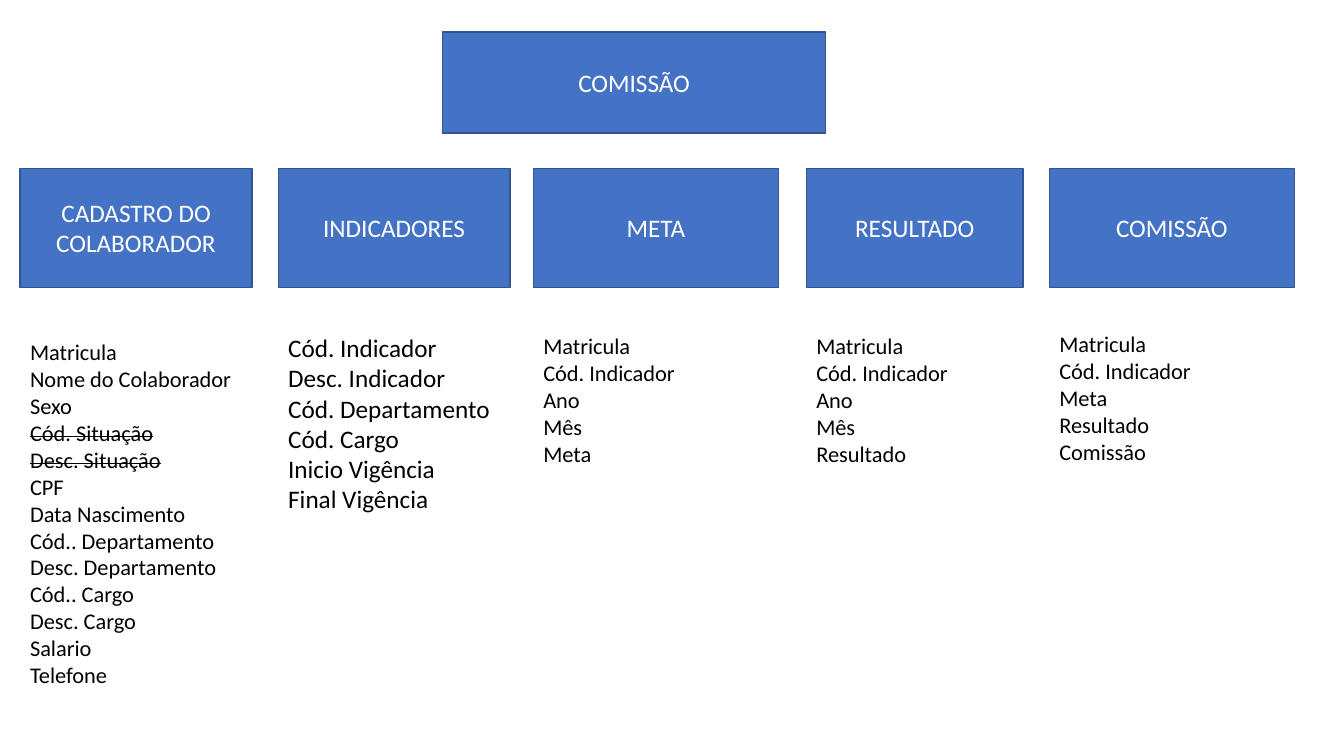
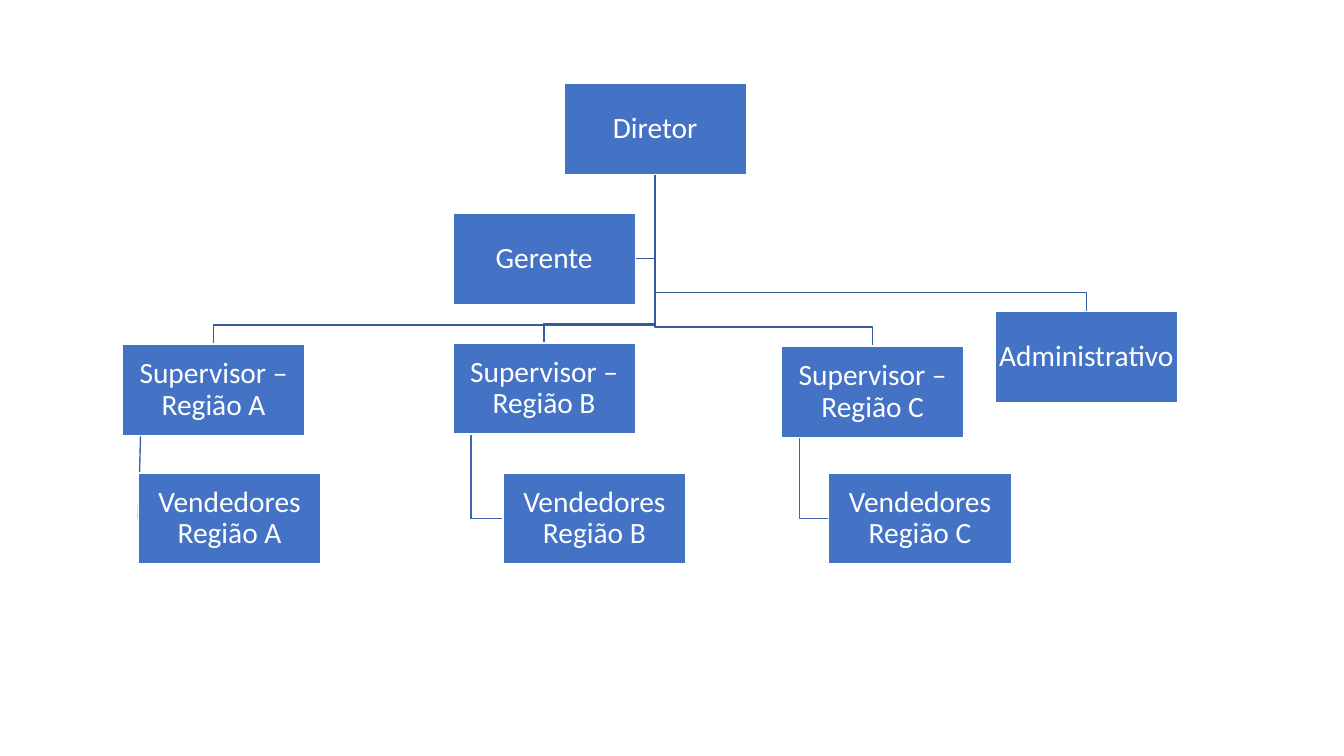
from pptx import Presentation
from pptx.dml.color import RGBColor
from pptx.enum.shapes import MSO_CONNECTOR, MSO_SHAPE
from pptx.enum.text import MSO_ANCHOR, PP_ALIGN
from pptx.oxml.ns import qn
from pptx.util import Pt
from lxml.etree import SubElement

FONT = "Calibri"
BLUE = RGBColor(0x44, 0x72, 0xC4)
BOX_BORDER = RGBColor(0x32, 0x54, 0x91)
UPPER_LINE = RGBColor(0x36, 0x5B, 0x9D)
LOWER_LINE = RGBColor(0x3E, 0x67, 0xB2)
WHITE = RGBColor(0xFF, 0xFF, 0xFF)
BLACK = RGBColor(0x00, 0x00, 0x00)

HEADER_TOP, HEADER_HEIGHT = 120.2, 85
STRUCK_FIELDS = {"Cód. Situação", "Desc. Situação"}
COLUMNS = [
    ("CADASTRO DO COLABORADOR", 14.4, 165.6, 238.3, 16,
     ["Matricula", "Nome do Colaborador", "Sexo", "Cód. Situação", "Desc. Situação",
      "CPF", "Data Nascimento", "Cód.. Departamento", "Desc. Departamento",
      "Cód.. Cargo", "Desc. Cargo", "Salario", "Telefone"]),
    ("INDICADORES", 198.8, 165.6, 234, 18,
     ["Cód. Indicador", "Desc. Indicador", "Cód. Departamento", "Cód. Cargo",
      "Inicio Vigência", "Final Vigência"]),
    ("META", 381, 175, 234, 16,
     ["Matricula", "Cód. Indicador", "Ano", "Mês", "Meta"]),
    ("RESULTADO", 576, 154.8, 234, 16,
     ["Matricula", "Cód. Indicador", "Ano", "Mês", "Resultado"]),
    ("COMISSÃO", 749.6, 175, 232.6, 16,
     ["Matricula", "Cód. Indicador", "Meta", "Resultado", "Comissão"]),
]

NODE_WIDTH, NODE_HEIGHT = 130.4, 65.2
NODE_INSET = 0.72
BRANCH_DROP = 13.7
SELLER_INDENT = 13
SELLER_TOP = 337.8
DIRECTOR = (402.8, 59.6)
MANAGER = (323.5, 152.2)
ADMINISTRATION = (710.8, 222.6)
REGIONS = {
    "A": ((87.4, 245.8), 98.8),
    "B": ((323.5, 244.9), 359.4),
    "C": ((558.2, 247.2), 592),
}


def style_text(paragraph, size, color):
    paragraph.font.name = FONT
    paragraph.font.size = Pt(size)
    paragraph.font.color.rgb = color


def add_box(slide, text, left, top, width, height, size, border):
    box = slide.shapes.add_shape(
        MSO_SHAPE.RECTANGLE, Pt(left), Pt(top), Pt(width), Pt(height))
    box.shadow.inherit = False
    box.fill.solid()
    box.fill.fore_color.rgb = BLUE
    box.line.color.rgb = border
    box.line.width = Pt(1)
    frame = box.text_frame
    frame.word_wrap = True
    frame.vertical_anchor = MSO_ANCHOR.MIDDLE
    paragraph = frame.paragraphs[0]
    paragraph.text = text
    paragraph.alignment = PP_ALIGN.CENTER
    style_text(paragraph, size, WHITE)
    return box


def add_node(slide, text, position):
    node = add_box(slide, text, *position, NODE_WIDTH, NODE_HEIGHT, 21, WHITE)
    frame = node.text_frame
    frame.margin_left = frame.margin_right = Pt(NODE_INSET)
    frame.margin_top = frame.margin_bottom = Pt(NODE_INSET)
    frame.paragraphs[0].line_spacing = 0.9


def add_field_list(slide, fields, left, top, width, size):
    height = len(fields) * size * 1.2 + 7.2
    text_box = slide.shapes.add_textbox(Pt(left), Pt(top), Pt(width), Pt(height))
    frame = text_box.text_frame
    frame.word_wrap = True
    for index, field in enumerate(fields):
        paragraph = frame.add_paragraph() if index else frame.paragraphs[0]
        run = paragraph.add_run()
        run.text = field
        style_text(paragraph, size, BLACK)
        if field in STRUCK_FIELDS:
            run._r.get_or_add_rPr().set("strike", "sngStrike")


def add_elbow(slide, points, color):
    start, *corners = [(Pt(x), Pt(y)) for x, y in points]
    builder = slide.shapes.build_freeform(*start)
    builder.add_line_segments(corners, close=False)
    elbow = builder.convert_to_shape()
    elbow.shadow.inherit = False
    elbow.fill.background()
    elbow.line.color.rgb = color
    elbow.line.width = Pt(1)


def add_straight_line(slide, start, end, color):
    line = slide.shapes.add_connector(
        MSO_CONNECTOR.STRAIGHT, *map(Pt, start), *map(Pt, end))
    SubElement(line._element.spPr, qn("a:effectLst"))
    line.line.color.rgb = color
    line.line.width = Pt(1)


def add_branch(slide, child):
    trunk = DIRECTOR[0] + NODE_WIDTH / 2
    child_center = child[0] + NODE_WIDTH / 2
    turn = child[1] - BRANCH_DROP
    add_elbow(slide, [(trunk, DIRECTOR[1] + NODE_HEIGHT), (trunk, turn),
                      (child_center, turn), (child_center, child[1])], UPPER_LINE)


def add_manager_line(slide):
    trunk = DIRECTOR[0] + NODE_WIDTH / 2
    middle = MANAGER[1] + NODE_HEIGHT / 2
    add_elbow(slide, [(trunk, DIRECTOR[1] + NODE_HEIGHT), (trunk, middle),
                      (MANAGER[0] + NODE_WIDTH, middle)], UPPER_LINE)


def add_seller_line(slide, supervisor, seller_left):
    start = (supervisor[0] + SELLER_INDENT, supervisor[1] + NODE_HEIGHT)
    end = (seller_left, SELLER_TOP + NODE_HEIGHT / 2)
    if end[0] > start[0]:
        add_elbow(slide, [start, (start[0], end[1]), end], LOWER_LINE)
    else:
        add_straight_line(slide, start, end, LOWER_LINE)


def build_commission_slide(slide):
    add_box(slide, "COMISSÃO", 316.2, 23, 273.6, 72, 18, BOX_BORDER)
    for title, left, width, list_top, size, fields in COLUMNS:
        add_box(slide, title, left, HEADER_TOP, width, HEADER_HEIGHT, 18, BOX_BORDER)
        add_field_list(slide, fields, left, list_top, width, size)


def build_organization_slide(slide):
    add_manager_line(slide)
    add_branch(slide, ADMINISTRATION)
    for supervisor, seller_left in REGIONS.values():
        add_branch(slide, supervisor)
        add_seller_line(slide, supervisor, seller_left)

    add_node(slide, "Diretor", DIRECTOR)
    add_node(slide, "Gerente", MANAGER)
    add_node(slide, "Administrativo", ADMINISTRATION)
    for region, (supervisor, seller_left) in REGIONS.items():
        add_node(slide, f"Supervisor – Região {region}", supervisor)
        add_node(slide, f"Vendedores Região {region}", (seller_left, SELLER_TOP))


def main():
    presentation = Presentation()
    presentation.slide_width = Pt(960)
    presentation.slide_height = Pt(540)
    blank_layout = presentation.slide_layouts[6]
    for build_slide in (build_commission_slide, build_organization_slide):
        build_slide(presentation.slides.add_slide(blank_layout))
    presentation.save("out.pptx")


if __name__ == "__main__":
    main()
